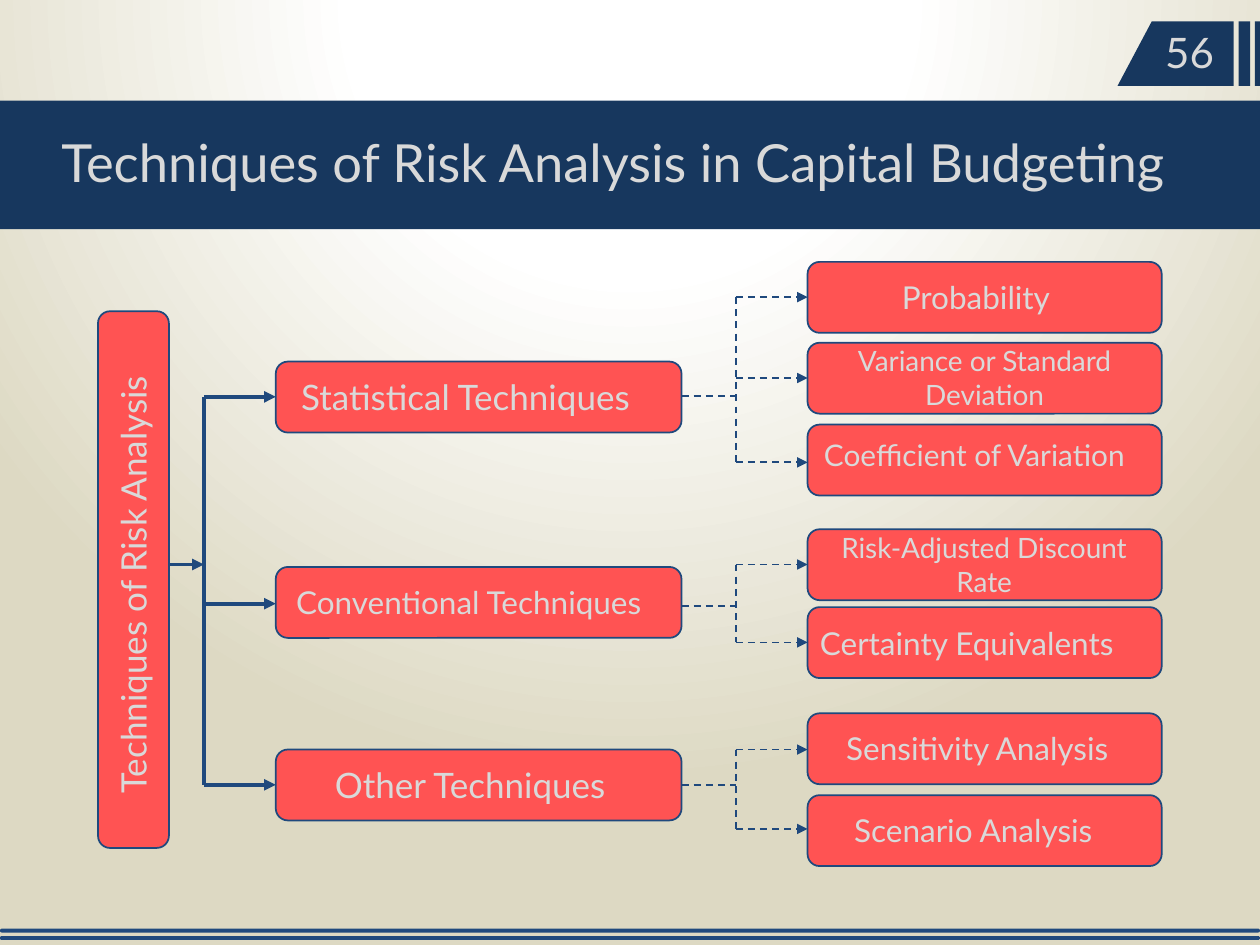
"""Builds a slide that charts the techniques of risk analysis in capital budgeting."""
from dataclasses import dataclass

from pptx import Presentation
from pptx.dml.color import RGBColor
from pptx.enum.dml import MSO_LINE
from pptx.enum.shapes import MSO_CONNECTOR, MSO_SHAPE
from pptx.enum.text import MSO_AUTO_SIZE, PP_ALIGN
from pptx.oxml import parse_xml
from pptx.oxml.ns import nsdecls, qn
from pptx.util import Cm, Pt


@dataclass(frozen=True)
class Theme:
    font: str = "Lato"
    navy: str = "17375E"
    blue: str = "1F497D"
    red: str = "FF5353"
    ink: str = "D9D9D9"
    white: str = "FFFFFF"
    sand: str = "DDD9C3"
    title: int = 30
    page: int = 24
    large: int = 20
    mid: int = 18
    snug: int = 17
    small: int = 16
    thin: float = 1
    thick: float = 2.25


class Deck:
    def __init__(self, theme, show):
        self.theme = theme
        self.slide = show.slides.add_slide(show.slide_layouts[6])
        self.shapes = self.slide.shapes

    def glow(self):
        stops = ((0, self.theme.white), (35, self.theme.white), (100, self.theme.sand))
        marks = "".join(
            f'<a:gs pos="{at * 1000}"><a:srgbClr val="{tint}"/></a:gs>' for at, tint in stops
        )
        self.slide.element.cSld.insert(0, parse_xml(
            f'<p:bg {nsdecls("p", "a")}><p:bgPr><a:gradFill rotWithShape="1">'
            f'<a:gsLst>{marks}</a:gsLst><a:path path="circle">'
            '<a:fillToRect l="50000" t="-80000" r="50000" b="180000"/></a:path>'
            '</a:gradFill><a:effectLst/></p:bgPr></p:bg>'
        ))

    def paint(self, shape, fill, edge=None):
        shape.shadow.inherit = False
        shape.fill.solid()
        shape.fill.fore_color.rgb = RGBColor.from_string(fill)
        if edge:
            shape.line.color.rgb = RGBColor.from_string(edge)
            shape.line.width = Pt(self.theme.thin)
        else:
            shape.line.fill.background()

    def band(self, area, fill):
        self.paint(self.shapes.add_shape(MSO_SHAPE.RECTANGLE, *map(Cm, area)), fill)

    def pill(self, area, fill, edge=None, curve=0.5, turn=0):
        shape = self.shapes.add_shape(MSO_SHAPE.ROUNDED_RECTANGLE, *map(Cm, area))
        shape.adjustments[0] = curve
        shape.rotation = turn
        self.paint(shape, fill, edge)

    def tab(self, parts, fill):
        shape = None
        for part in parts:
            first, *rest = [(Cm(x), Cm(y)) for x, y in part]
            if shape is None:
                shape = self.shapes.build_freeform(*first)
            else:
                shape.move_to(*first)
            shape.add_line_segments(rest)
        self.paint(shape.convert_to_shape(), fill)

    def text(self, area, words, size, align=PP_ALIGN.LEFT, turn=0):
        box = self.shapes.add_textbox(*map(Cm, area))
        box.rotation = turn
        frame = box.text_frame
        frame.word_wrap = True
        frame.auto_size = MSO_AUTO_SIZE.SHAPE_TO_FIT_TEXT
        frame.text = words
        para = frame.paragraphs[0]
        para.alignment = align
        font = para.runs[0].font
        font.name = self.theme.font
        font.size = Pt(size)
        font.color.rgb = RGBColor.from_string(self.theme.ink)

    def line(self, start, end, width, dash=False, arrow=False):
        link = self.shapes.add_connector(MSO_CONNECTOR.STRAIGHT, *map(Cm, (*start, *end)))
        link.line.color.rgb = RGBColor.from_string(self.theme.blue)
        link.line.width = Pt(width)
        if dash:
            link.line.dash_style = MSO_LINE.DASH
        props = link._element.spPr
        if arrow:
            props.find(qn("a:ln")).append(
                parse_xml(f'<a:tailEnd {nsdecls("a")} type="triangle"/>'))
        props.append(parse_xml(f'<a:effectLst {nsdecls("a")}/>'))

    def fork(self, stem, trunk, tip, level, rows, width, dash=False):
        self.line((stem, level), (trunk, level), width, dash, arrow=not dash)
        self.line((trunk, rows[0]), (trunk, rows[-1]), width, dash)
        for row in rows:
            self.line((trunk, row), (tip, row), width, dash, arrow=True)


def main():
    theme = Theme()
    show = Presentation()
    show.slide_width, show.slide_height = Cm(25.4), Cm(19.05)
    deck = Deck(theme, show)
    mid = PP_ALIGN.CENTER
    left = PP_ALIGN.LEFT

    deck.glow()
    deck.band((0, 2.03, 25.4, 2.59), theme.navy)
    for top in (18.72, 18.87):
        deck.pill((0, top, 25.4, 0.08), theme.blue)
    high, low = 0.43, 1.73
    spans = ((25.3, 25.4, 25.3), (24.97, 25.2, 24.97), (23.22, 24.87, 22.53))
    deck.tab([((a, high), (b, high), (b, low), (c, low)) for a, b, c in spans], theme.navy)
    deck.text((0.99, 2.49, 23.9, 1.55),
              "Techniques of Risk Analysis in Capital Budgeting", theme.title)
    deck.text((23.24, 0.41, 1.7, 1.27), "56", theme.page)

    tall = 1.43
    deck.pill((-2.72, 10.97, 10.82, tall), theme.red, theme.blue, 0.17, turn=90)
    deck.text((-2.18, 10.82, 9.73, 1.12), "Techniques of Risk Analysis", theme.large, turn=270)

    groups = (
        (7.29, (5.82, 7.44, 7.62, 1.12), "Statistical Techniques", theme.large, 7.98, (
            (5.28, 5.99, (17.93, 5.49, 3.81, 1.02), "Probability", theme.mid, left),
            (6.91, 7.62, (16.33, 6.81, 7.04, 1.63), "Variance or Standard Deviation",
             theme.small, mid),
            (8.56, 9.32, (16.36, 8.69, 7.14, 0.99), "Coefficient of Variation",
             theme.snug, left))),
        (11.43, (5.72, 11.63, 7.87, 1.02), "Conventional Techniques", theme.mid, 12.22, (
            (10.67, 11.38, (16.54, 10.57, 6.6, 1.63), "Risk-Adjusted Discount Rate",
             theme.small, mid),
            (12.24, 12.95, (16.28, 12.45, 7.14, 1.02), "Certainty Equivalents",
             theme.mid, left))),
        (15.11, (6.5, 15.27, 6.27, 1.12), "Other Techniques", theme.large, 15.82, (
            (14.38, 15.11, (16.81, 14.58, 6.38, 1.02), "Sensitivity Analysis",
             theme.mid, left),
            (16.03, 16.71, (16.97, 16.23, 5.74, 1.02), "Scenario Analysis",
             theme.mid, left))),
    )
    for top, area, words, size, level, leaves in groups:
        deck.pill((5.56, top, 8.18, tall), theme.red, theme.blue, 0.17)
        deck.text(area, words, size)
        for peak, _, place, label, scale, align in leaves:
            deck.pill((16.28, peak, 7.14, tall), theme.red, theme.blue, 0.17)
            deck.text(place, label, scale, align)
        rows = [leaf[1] for leaf in leaves]
        deck.fork(13.74, 14.83, 16.28, level, rows, theme.thin, dash=True)
    deck.fork(3.43, 4.11, 5.56, 11.38, (8, 12.17, 15.82), theme.thick)

    show.save("out.pptx")


if __name__ == "__main__":
    main()
